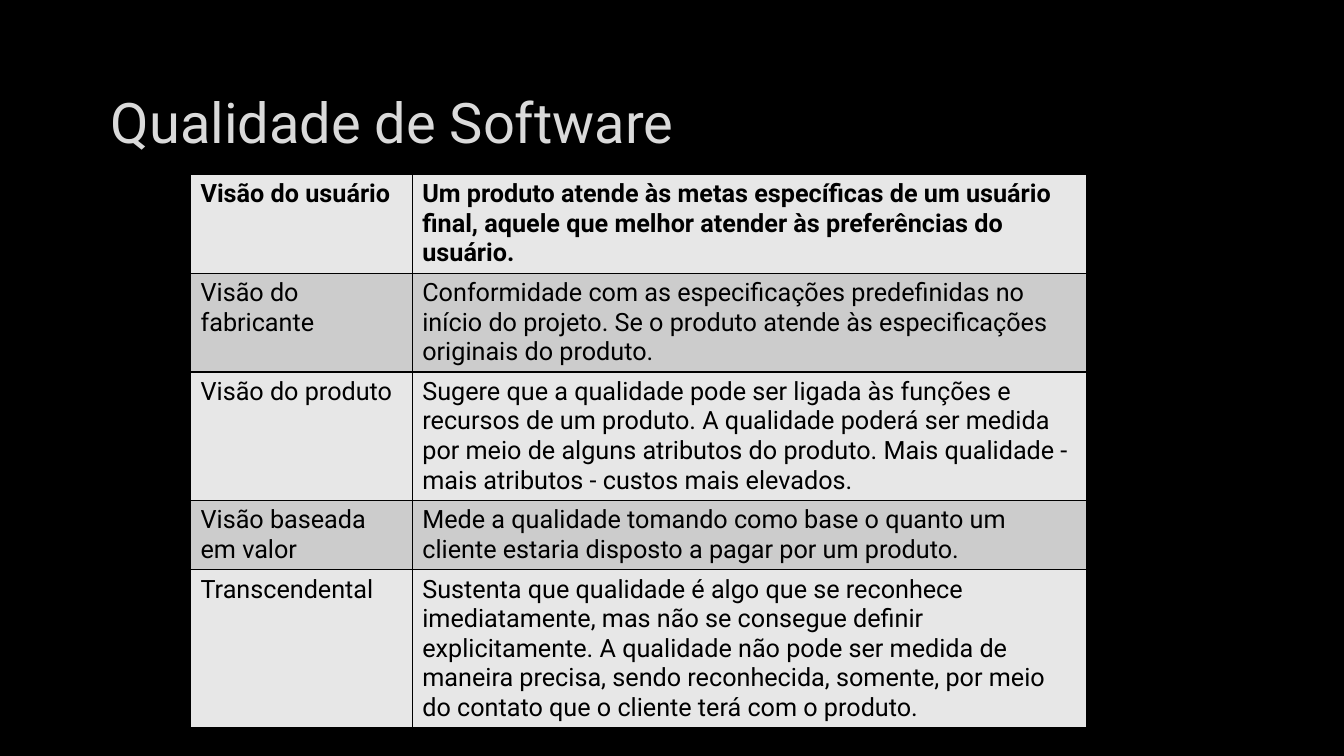
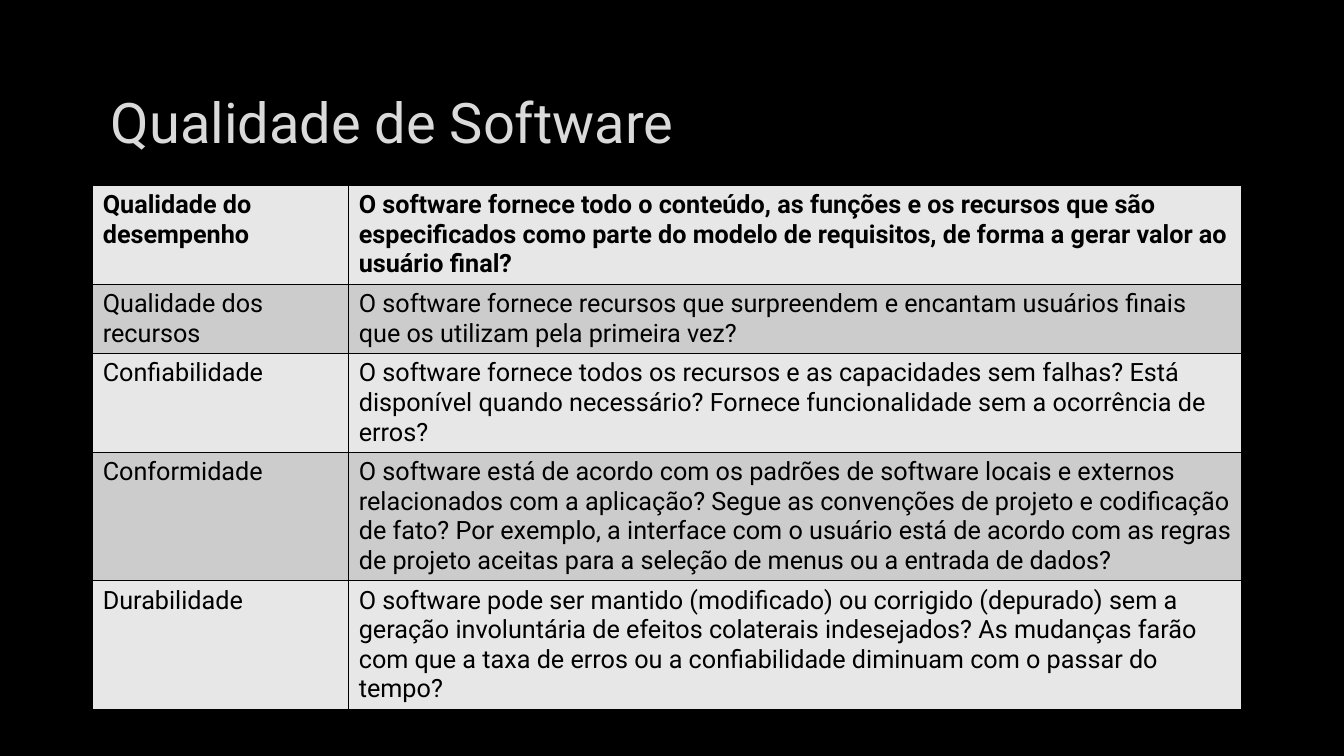
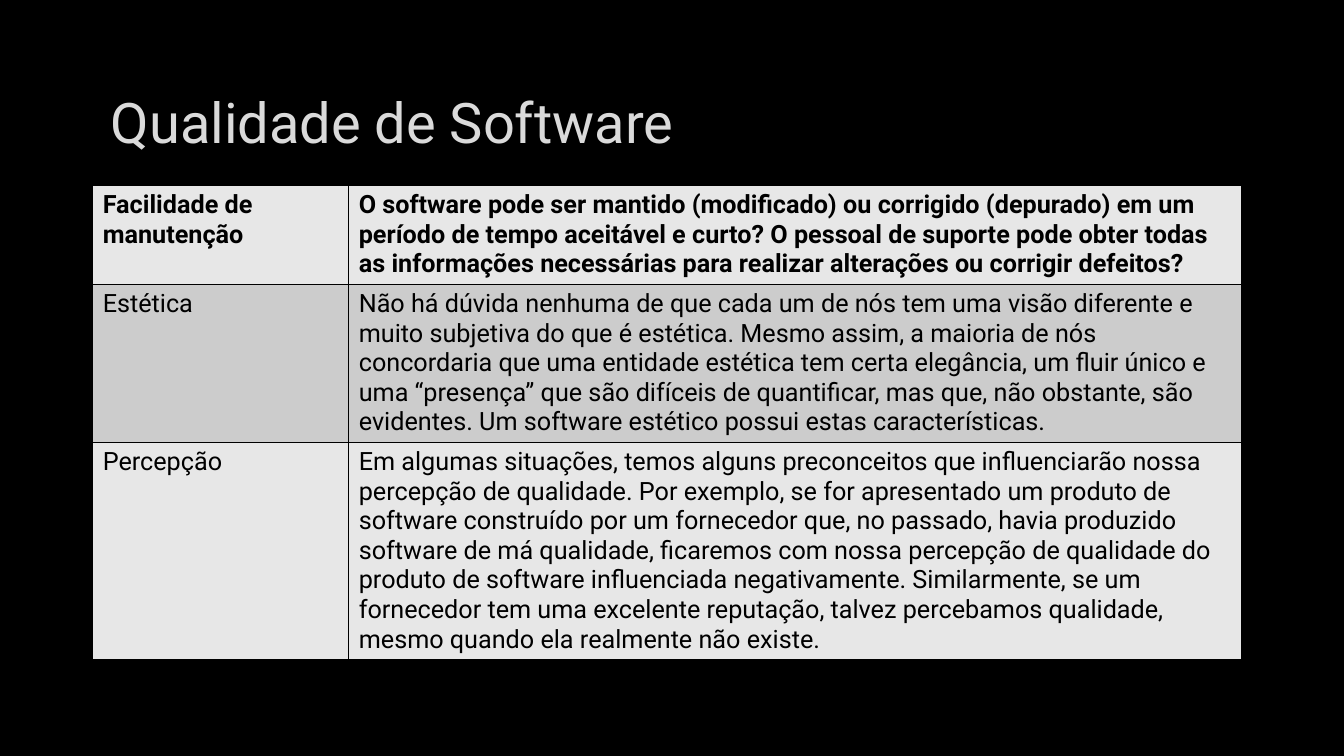
import pptx
import pptx.dml.color
import pptx.enum.text
import pptx.oxml
import pptx.oxml.ns
import pptx.util
from lxml import etree

Pt = pptx.util.Pt
FONT = "Roboto"
BLACK, PALE, GREY, BANDS = "000000", "DADADA", "404040", ("E7E7E7", "CCCCCC")


def color(code):
    """Turn a hex string into a colour."""
    return pptx.dml.color.RGBColor.from_string(code)


def line(tag, width, code, alpha=100):
    """Make a solid line element for a cell border or a text outline."""
    return pptx.oxml.parse_xml(
        f'<a:{tag} {pptx.oxml.ns.nsdecls("a")} w="{Pt(width)}"><a:solidFill>'
        f'<a:srgbClr val="{code}"><a:alpha val="{alpha * 1000}"/></a:srgbClr>'
        f'</a:solidFill></a:{tag}>')


def apply(item, values):
    """Set each attribute of an item from a dict."""
    for name, value in values.items():
        setattr(item, name, value)


class Deck:
    """Holds the style and the current slide."""

    def __init__(self):
        """Start a wide deck with a black master."""
        self.deck = pptx.Presentation()
        apply(self.deck, {"slide_width": Pt(960), "slide_height": Pt(540)})
        fill = self.deck.slide_master.background.fill
        fill.solid()
        fill.fore_color.rgb = color(BLACK)

    def slide(self, text):
        """Add a slide with its title."""
        self.page = self.deck.slides.add_slide(self.deck.slide_layouts[5])
        title = self.page.shapes.title
        apply(title, {"left": Pt(72), "top": Pt(48.24),
                      "width": Pt(815.04), "height": Pt(76.32)})
        apply(title.text_frame, {
            "text": text, "word_wrap": True,
            "auto_size": pptx.enum.text.MSO_AUTO_SIZE.NONE,
            "vertical_anchor": pptx.enum.text.MSO_ANCHOR.MIDDLE})
        par = title.text_frame.paragraphs[0]
        par.alignment = pptx.enum.text.PP_ALIGN.LEFT
        run = par.runs[0]
        self.style(run, 40, PALE)
        run.font._element.insert(0, line("ln", 0.75, GREY, 10))

    def style(self, run, size, code, bold=False):
        """Format one run of text."""
        apply(run.font, {"name": FONT, "size": Pt(size), "bold": bold})
        run.font.color.rgb = color(code)

    def cell(self, cell, text, row):
        """Fill one table cell, with a bold first row and banded fills."""
        cell.text = text
        self.style(cell.text_frame.paragraphs[0].runs[0], 18, BLACK, row == 0)
        cell.fill.solid()
        cell.fill.fore_color.rgb = color(BANDS[row % 2])
        props = cell._tc.get_or_add_tcPr()
        for spot, side in enumerate("LRTB"):
            props.insert(spot, line("ln" + side, 1, BLACK))

    def table(self, rows, left, top, widths, height, head):
        """Add a two-column table whose rows grow with their text."""
        frame = self.page.shapes.add_table(
            len(rows), len(widths), Pt(left), Pt(top), Pt(sum(widths)), Pt(height))
        grid = frame.table
        apply(grid, {"first_row": False, "horz_banding": False})
        for col, width in zip(grid.columns, widths):
            col.width = Pt(width)
        for num, texts in enumerate(rows):
            grid.rows[num].height = Pt(29.5 if num else head)
            for col, text in enumerate(texts):
                self.cell(grid.cell(num, col), text, num)
        frame.height = Pt(height)


VIEWS = [
    ("Visão do usuário",
     "Um produto atende às metas específicas de um usuário final, aquele que "
     "melhor atender às preferências do usuário."),
    ("Visão do fabricante",
     "Conformidade com as especificações predefinidas no início do projeto. "
     "Se o produto atende às especificações originais do produto."),
    ("Visão do produto",
     "Sugere que a qualidade pode ser ligada às funções e recursos de um "
     "produto. A qualidade poderá ser medida por meio de alguns atributos do "
     "produto. Mais qualidade - mais atributos - custos mais elevados."),
    ("Visão baseada em valor",
     "Mede a qualidade tomando como base o quanto um cliente estaria disposto "
     "a pagar por um produto."),
    ("Transcendental",
     "Sustenta que qualidade é algo que se reconhece imediatamente, mas não se "
     "consegue definir explicitamente. A qualidade não pode ser medida de "
     "maneira precisa, sendo reconhecida, somente, por meio do contato que o "
     "cliente terá com o produto."),
]
TRAITS = [
    ("Qualidade do desempenho",
     "O software fornece todo o conteúdo, as funções e os recursos que são "
     "especificados como parte do modelo de requisitos, de forma a gerar valor "
     "ao usuário final?"),
    ("Qualidade dos recursos",
     "O software fornece recursos que surpreendem e encantam usuários finais "
     "que os utilizam pela primeira vez?"),
    ("Confiabilidade",
     "O software fornece todos os recursos e as capacidades sem falhas? Está "
     "disponível quando necessário? Fornece funcionalidade sem a ocorrência de "
     "erros?"),
    ("Conformidade",
     "O software está de acordo com os padrões de software locais e externos "
     "relacionados com a aplicação? Segue as convenções de projeto e "
     "codificação de fato? Por exemplo, a interface com o usuário está de "
     "acordo com as regras de projeto aceitas para a seleção de menus ou a "
     "entrada de dados?"),
    ("Durabilidade",
     "O software pode ser mantido (modificado) ou corrigido (depurado) sem a "
     "geração involuntária de efeitos colaterais indesejados? As mudanças "
     "farão com que a taxa de erros ou a confiabilidade diminuam com o passar "
     "do tempo?"),
]
MORE = [
    ("Facilidade de manutenção",
     "O software pode ser mantido (modificado) ou corrigido (depurado) em um "
     "período de tempo aceitável e curto? O pessoal de suporte pode obter "
     "todas as informações necessárias para realizar alterações ou corrigir "
     "defeitos?"),
    ("Estética",
     "Não há dúvida nenhuma de que cada um de nós tem uma visão diferente e "
     "muito subjetiva do que é estética. Mesmo assim, a maioria de nós "
     "concordaria que uma entidade estética tem certa elegância, um fluir "
     "único e uma “presença” que são difíceis de quantificar, mas que, não "
     "obstante, são evidentes. Um software estético possui estas "
     "características."),
    ("Percepção",
     "Em algumas situações, temos alguns preconceitos que influenciarão nossa "
     "percepção de qualidade. Por exemplo, se for apresentado um produto de "
     "software construído por um fornecedor que, no passado, havia produzido "
     "software de má qualidade, ficaremos com nossa percepção de qualidade do "
     "produto de software influenciada negativamente. Similarmente, se um "
     "fornecedor tem uma excelente reputação, talvez percebamos qualidade, "
     "mesmo quando ela realmente não existe."),
]
SLIM = {"left": 136.08, "top": 124.56, "widths": (158.4, 481.68), "head": 29.5}
WIDE = {"left": 66.24, "top": 132.48, "widths": (182.88, 637.92), "head": 22.3}

show = Deck()
for rows, place, height in ((VIEWS, SLIM, 403.2), (TRAITS, WIDE, 338.4),
                            (MORE, WIDE, 324)):
    show.slide("Qualidade de Software")
    show.table(rows, height=height, **place)
show.deck.save("out.pptx")
